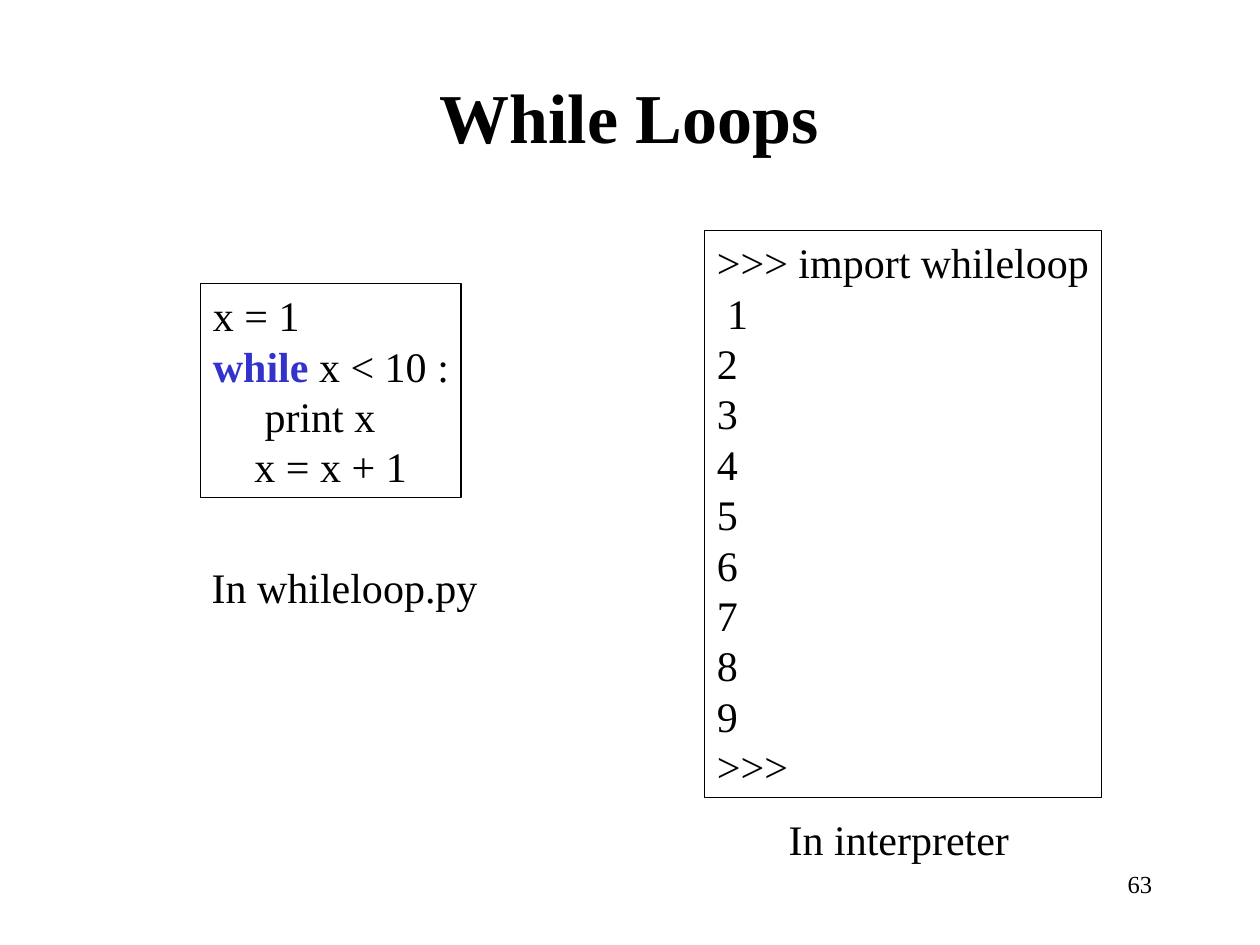
import pptx
import pptx.util
import pptx.dml.color
import pptx.enum.shapes
import pptx.enum.text

Inches, Pt = pptx.util.Inches, pptx.util.Pt

COLORS = {"text": "000000", "keyword": "3333CC", "border": "000000"}
FONT = "Times New Roman"

# Each line is (left indent in inches, [(text, is keyword), ...])
TITLE = [(0.01, [("While Loops", False)])]
SOURCE_CODE = [
    (0.1, [("x = 1", False)]),
    (0.1, [("while ", True), ("x < 10 :", False)]),
    (0.51, [("print x", False)]),
    (0.43, [("x = x + 1", False)]),
]
SESSION = [
    (0.1, [(">>> import whileloop", False)]),
    (0.18, [("1", False)]),
    *[(0.1, [(str(count), False)]) for count in range(2, 10)],
    (0.1, [(">>>", False)]),
]
CODE_PANELS = [
    (SOURCE_CODE, (1.59, 2.25, 2.07, 1.7)),
    (SESSION, (5.59, 1.83, 3.15, 4.5)),
]
# Text, left indent, size, space before, position
LABELS = [
    ("In whileloop.py", 0.01, 24, 1, (1.67, 4.45, 2.17, 0.43)),
    ("In interpreter", 0.01, 24, 1, (6.25, 6.45, 1.78, 0.43)),
    ("63", 0.04, 14, 0, (8.91, 6.89, 0.28, 0.24)),
]


def rgb(name):
    return pptx.dml.color.RGBColor.from_string(COLORS[name])


def write_lines(shape, lines, size, space_before, top_inset=0.01, bold=False):
    frame = shape.text_frame
    frame_format = {
        "margin_left": 0, "margin_right": 0, "margin_bottom": 0,
        "margin_top": Inches(top_inset), "word_wrap": True,
        "vertical_anchor": pptx.enum.text.MSO_ANCHOR.TOP,
        "auto_size": pptx.enum.text.MSO_AUTO_SIZE.NONE,
    }
    for name, value in frame_format.items():
        setattr(frame, name, value)
    for index, (indent, pieces) in enumerate(lines):
        line = frame.add_paragraph() if index else frame.paragraphs[0]
        line.alignment = pptx.enum.text.PP_ALIGN.LEFT
        line.space_before = Pt(0 if index else space_before)
        properties = line._p.get_or_add_pPr()
        properties.set("marL", str(Inches(indent)))
        properties.set("indent", "0")
        for text, is_keyword in pieces:
            run = line.add_run()
            run.text = text
            font_format = {"name": FONT, "size": Pt(size), "bold": bold or is_keyword}
            for name, value in font_format.items():
                setattr(run.font, name, value)
            run.font.color.rgb = rgb("keyword" if is_keyword else "text")


def main():
    deck = pptx.Presentation()
    deck.slide_width, deck.slide_height = Inches(10), Inches(7.5)
    slide = deck.slides.add_slide(deck.slide_layouts[5])

    title = slide.shapes.title
    title_place = {"left": 3.48, "top": 0.57, "width": 3.1, "height": 0.69}
    for name, value in title_place.items():
        setattr(title, name, Inches(value))
    write_lines(title, TITLE, 40, 1, bold=True)

    for lines, place in CODE_PANELS:
        panel = slide.shapes.add_shape(
            pptx.enum.shapes.MSO_SHAPE.RECTANGLE, *map(Inches, place))
        panel.shadow.inherit = False
        panel.fill.background()
        panel.line.color.rgb = rgb("border")
        panel.line.width = Pt(0.75)
        write_lines(panel, lines, 24, 3.7, top_inset=0.05)

    for text, indent, size, space_before, place in LABELS:
        label = slide.shapes.add_textbox(*map(Inches, place))
        write_lines(label, [(indent, [(text, False)])], size, space_before)

    deck.save("out.pptx")


if __name__ == "__main__":
    main()
